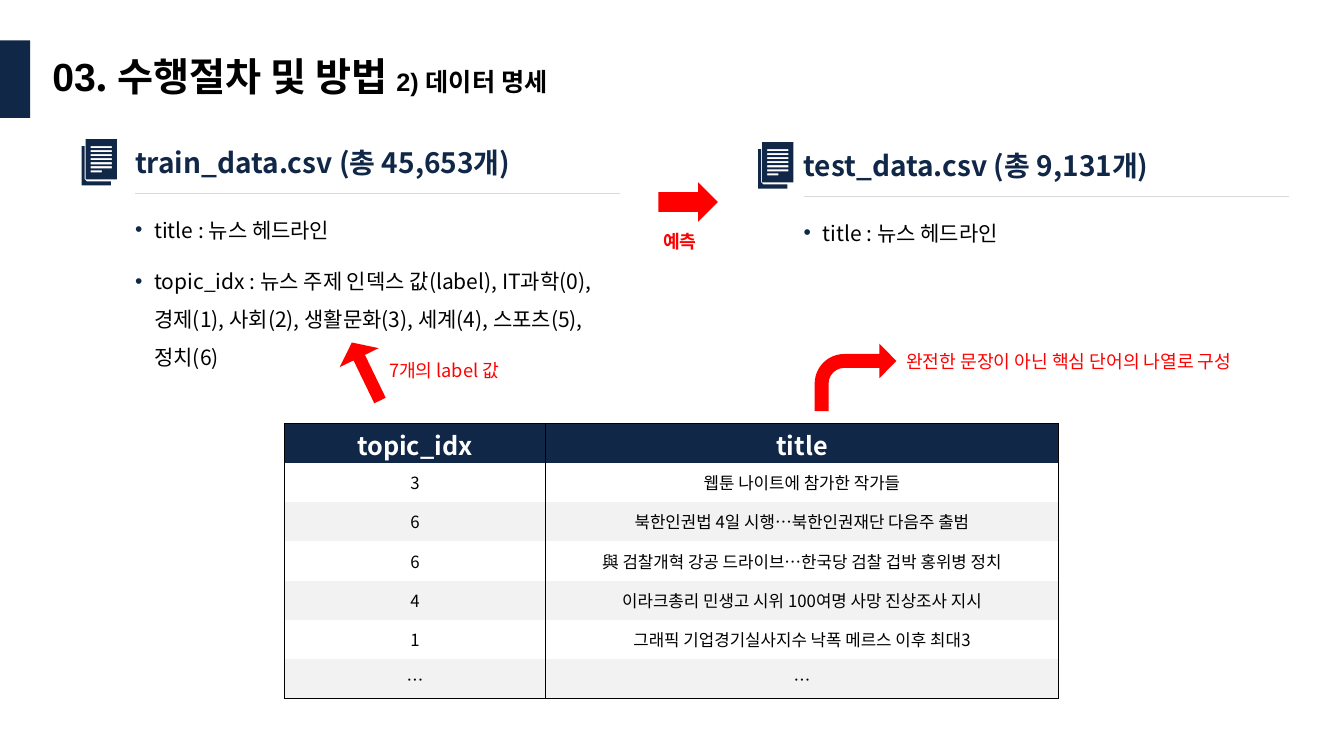
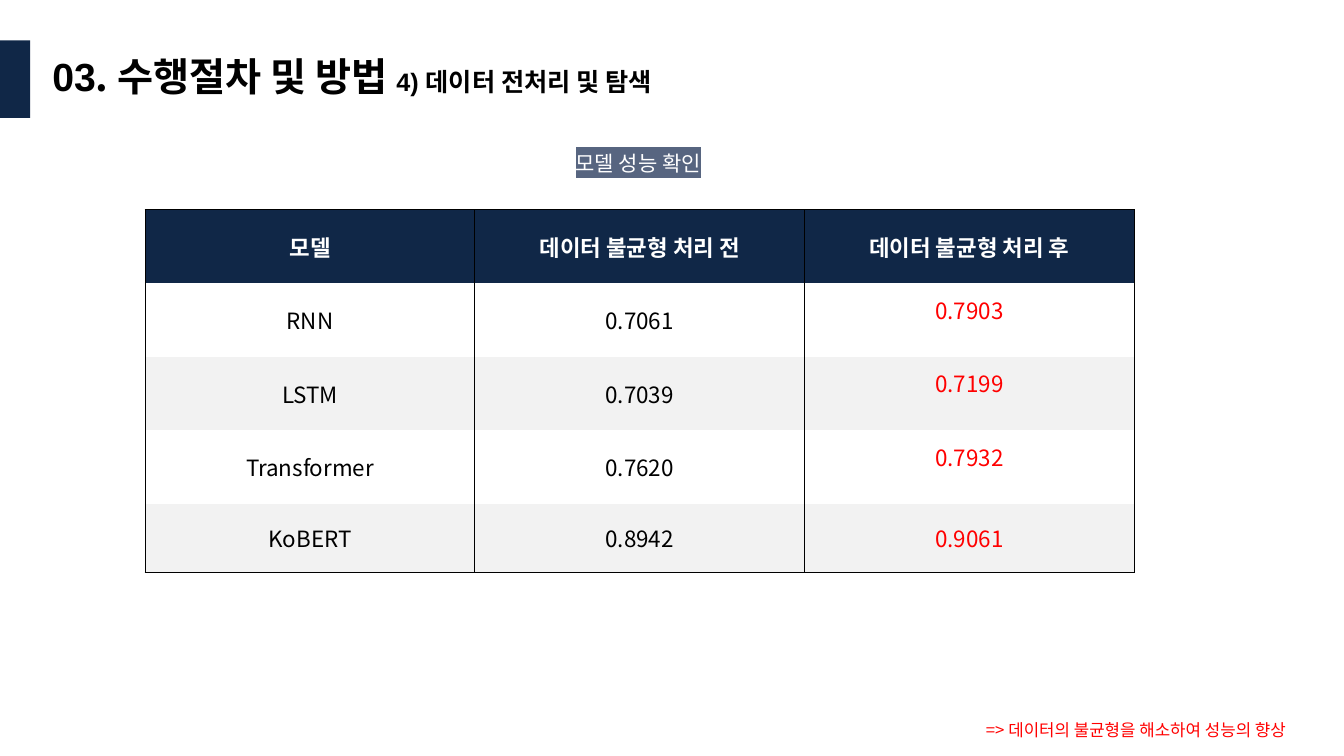
from lxml import etree
from pptx import Presentation
from pptx.dml.color import RGBColor
from pptx.enum.shapes import MSO_CONNECTOR, MSO_SHAPE
from pptx.enum.text import MSO_ANCHOR, PP_ALIGN
from pptx.oxml.ns import qn
from pptx.util import Pt

PX = 9144
RECT, ARROW, BENT = MSO_SHAPE.RECTANGLE, MSO_SHAPE.RIGHT_ARROW, MSO_SHAPE.BENT_ARROW
STRAIGHT = MSO_CONNECTOR.STRAIGHT
TOP, MIDDLE = MSO_ANCHOR.TOP, MSO_ANCHOR.MIDDLE
CENTER = PP_ALIGN.CENTER
SANS, LATIN = "Noto Sans CJK KR", "Arial"
PLAIN_TABLE = "{2D5ABB26-0587-4C30-8999-92F81FD0307C}"
COLORS = {
    "navy": "102747",
    "black": "000000",
    "white": "FFFFFF",
    "stripe": "F2F2F2",
    "rule": "D9D9D9",
    "red": "FF0000",
    "highlight": "576580",
}


def px(*lengths):
    return [n * PX for n in lengths]


def rgb(name):
    return RGBColor.from_string(COLORS[name])


def add_color(parent, name):
    etree.SubElement(parent, qn("a:srgbClr"), val=COLORS[name])


def box_points(x, y, w, h):
    return [(x, y), (x + w, y), (x + w, y + h), (x, y + h)]


class Deck:
    def __init__(self):
        self.prs = Presentation()
        self.prs.slide_width, self.prs.slide_height = px(1333, 750)
        self.s = None

    def slide(self, subtitle_number, subtitle):
        self.s = self.prs.slides.add_slide(self.prs.slide_layouts[6])
        self.shape(RECT, 0, 40, 30, 77, "navy")
        p = self.box(52, 40, 1231, 77, inset=0).paragraphs[0]
        p.line_spacing = 0.9
        parts = [
            ("03", 28, LATIN),
            (". 수행절차 및 방법 ", 28, SANS),
            (subtitle_number + " ", 18, LATIN),
            (subtitle, 18, SANS),
        ]
        for text, size, font in parts:
            r = p.add_run()
            r.text = text
            self.style(r, size, "black", True, font)

    def style(self, r, size, color, bold=False, font=SANS):
        r.font.size = Pt(size)
        r.font.bold = bold
        r.font.color.rgb = rgb(color)
        r.font.name = font
        rPr = r._r.get_or_add_rPr()
        rPr.find(qn("a:latin")).addnext(etree.Element(qn("a:ea"), typeface=font))

    def paint(self, shape, color):
        shape.shadow.inherit = False
        shape.fill.solid()
        shape.fill.fore_color.rgb = rgb(color)
        shape.line.fill.background()

    def shape(self, kind, x, y, w, h, color, adjustments=(), rotation=0):
        sp = self.s.shapes.add_shape(kind, *px(x, y, w, h))
        self.paint(sp, color)
        for i, value in enumerate(adjustments):
            sp.adjustments[i] = value
        sp.rotation = rotation

    def outline(self, contours, color):
        first, *rest = contours
        builder = self.s.shapes.build_freeform(*first[0], scale=PX)
        builder.add_line_segments(first[1:], close=True)
        for points in rest:
            builder.move_to(*points[0])
            builder.add_line_segments(points[1:], close=True)
        self.paint(builder.convert_to_shape(), color)

    def document_icon(self, x, y):
        back = [(0, 7), (3, 7), (3, 40), (5, 42), (29, 42), (29, 46), (0, 46)]
        self.outline([[(x + dx, y + dy) for dx, dy in back]], "navy")
        page = box_points(x + 4, y, 31, 40)
        widths = [21] * 6 + [11]
        bars = [box_points(x + 9, y + 7 + 4 * i, w, 2) for i, w in enumerate(widths)]
        self.outline([page] + [bar[::-1] for bar in bars], "navy")

    def box(self, x, y, w, h, anchor=MIDDLE, inset=None):
        tf = self.s.shapes.add_textbox(*px(x, y, w, h)).text_frame
        tf.word_wrap = True
        tf.vertical_anchor = anchor
        if inset is not None:
            tf.margin_left = tf.margin_right = tf.margin_top = tf.margin_bottom = inset
        return tf

    def text(self, x, y, w, h, text, size, color, bold=False, spacing=None, **frame):
        p = self.box(x, y, w, h, **frame).paragraphs[0]
        p.text = text
        p.line_spacing = spacing
        self.style(p.runs[0], size, color, bold)
        return p

    def highlighted(self, *args, **kwargs):
        p = self.text(*args, **kwargs)
        mark = etree.Element(qn("a:highlight"))
        add_color(mark, "highlight")
        p.runs[0]._r.rPr.find(qn("a:solidFill")).addnext(mark)

    def bullets(self, x, y, w, h, items):
        tf = self.box(x, y, w, h, TOP, 0)
        for i, item in enumerate(items):
            p = tf.add_paragraph() if i else tf.paragraphs[0]
            p.text = item
            p.line_spacing = 1.5
            p.space_before = Pt(10)
            self.style(p.runs[0], 15, "black")
            pPr = p._p.get_or_add_pPr()
            pPr.set("marL", str(19 * PX))
            pPr.set("indent", str(-19 * PX))
            add_color(etree.SubElement(pPr, qn("a:buClr")), "navy")
            etree.SubElement(pPr, qn("a:buFont"), typeface=LATIN)
            etree.SubElement(pPr, qn("a:buChar"), char="•")

    def rule(self, x, y, w):
        line = self.s.shapes.add_connector(STRAIGHT, *px(x, y, x + w, y))
        line.line.color.rgb = rgb("rule")
        line.line.width = Pt(0.5)
        etree.SubElement(line._element.spPr, qn("a:effectLst"))

    def file_card(self, x, y, icon_x, heading, items, h):
        self.document_icon(icon_x, y - 6)
        self.text(x, y, 481, 34, heading, 20, "navy", True, anchor=TOP, inset=0)
        self.rule(x, y + 48, 481)
        self.bullets(x, y + 59, 481, h, items)

    def borders(self, cell, sides):
        tcPr = cell._tc.get_or_add_tcPr()
        for i, side in enumerate("LRTB"):
            ln = etree.Element(qn("a:ln" + side), w=str(Pt(1)))
            if side in sides:
                add_color(etree.SubElement(ln, qn("a:solidFill")), "black")
            else:
                etree.SubElement(ln, qn("a:noFill"))
            tcPr.insert(i, ln)

    def cell(self, cell, text, fill, size, color, bold):
        cell.text = text
        cell.vertical_anchor = MIDDLE
        cell.fill.solid()
        cell.fill.fore_color.rgb = rgb(fill)
        p = cell.text_frame.paragraphs[0]
        p.alignment = CENTER
        self.style(p.runs[0], size, color, bold)

    def table(self, x, y, widths, heights, rows, head_size, size, last_color="black"):
        frame = self.s.shapes.add_table(
            len(rows), len(widths), *px(x, y, sum(widths), sum(heights)))
        table = frame.table
        table.first_row = table.horz_banding = False
        table._tbl.tblPr.find(qn("a:tableStyleId")).text = PLAIN_TABLE
        for column, w in zip(table.columns, widths):
            column.width = w * PX
        for i, (row, h) in enumerate(zip(rows, heights)):
            table.rows[i].height = h * PX
            sides = "LR" + "T" * (i == 0) + "B" * (i == len(rows) - 1)
            for j, text in enumerate(row):
                cell = table.cell(i, j)
                if i == 0:
                    self.cell(cell, text, "navy", head_size, "white", True)
                else:
                    fill = "white" if i % 2 else "stripe"
                    color = last_color if j == len(row) - 1 else "black"
                    self.cell(cell, text, fill, size, color, False)
                self.borders(cell, sides)
        return table


def data_slide(deck):
    deck.slide("2)", "데이터 명세")
    title_item = "title : 뉴스 헤드라인"
    topic_item = ("topic_idx : 뉴스 주제 인덱스 값(label), IT과학(0), 경제(1), 사회(2), "
                  "생활문화(3), 세계(4), 스포츠(5), 정치(6)")
    deck.file_card(134, 144, 81, "train_data.csv (총 45,653개)", [title_item, topic_item], 206)
    deck.file_card(797, 147, 752, "test_data.csv (총 9,131개)", [title_item], 34)
    rows = [
        ("topic_idx", "title"),
        ("3", "웹툰 나이트에 참가한 작가들"),
        ("6", "북한인권법 4일 시행…북한인권재단 다음주 출범"),
        ("6", "與 검찰개혁 강공 드라이브…한국당 검찰 겁박 홍위병 정치"),
        ("4", "이라크총리 민생고 시위 100여명 사망 진상조사 지시"),
        ("1", "그래픽 기업경기실사지수 낙폭 메르스 이후 최대3"),
        ("…", "…"),
    ]
    table = deck.table(282, 420, [259, 509], [39] * 7, rows, 18, 12)
    for cell in table.rows[0].cells:
        cell.margin_top, cell.margin_bottom = px(3, 0)
    deck.shape(ARROW, 653, 181, 59, 39, "red")
    deck.shape(BENT, 808, 341, 81, 67, "red", (0.206, 0.256, 0.25, 0.438))
    deck.shape(ARROW, 331, 347, 64, 43, "red", (0.293, 0.389), 244.1)
    deck.text(648, 216, 84, 47, "예측", 13, "red", True)
    deck.text(376, 344, 155, 47, "7개의 label 값", 13, "red")
    deck.text(889, 335, 383, 47, "완전한 문장이 아닌 핵심 단어의 나열로 구성", 13, "red")


def model_slide(deck):
    deck.slide("4)", "데이터 전처리 및 탐색")
    deck.highlighted(561, 136, 157, 39, "모델 성능 확인", 15, "white", spacing=1.5)
    rows = [
        ("모델", "데이터 불균형 처리 전", "데이터 불균형 처리 후"),
        ("RNN", "0.7061", "0.7903"),
        ("LSTM", "0.7039", "0.7199"),
        ("Transformer", "0.7620", "0.7932"),
        ("KoBERT", "0.8942", "0.9061"),
    ]
    table = deck.table(144, 208, [327] * 3, [73] * 4 + [68], rows, 16, 16, "red")
    for i in range(1, 4):
        cell = table.cell(i, 2)
        cell.vertical_anchor = TOP
        cell.margin_top = cell.margin_bottom = 10 * PX
    deck.text(968, 639, 358, 140, "=> 데이터의 불균형을 해소하여 성능의 향상", 12, "red", spacing=2.5)


def main():
    deck = Deck()
    data_slide(deck)
    model_slide(deck)
    deck.prs.save("out.pptx")


if __name__ == "__main__":
    main()
